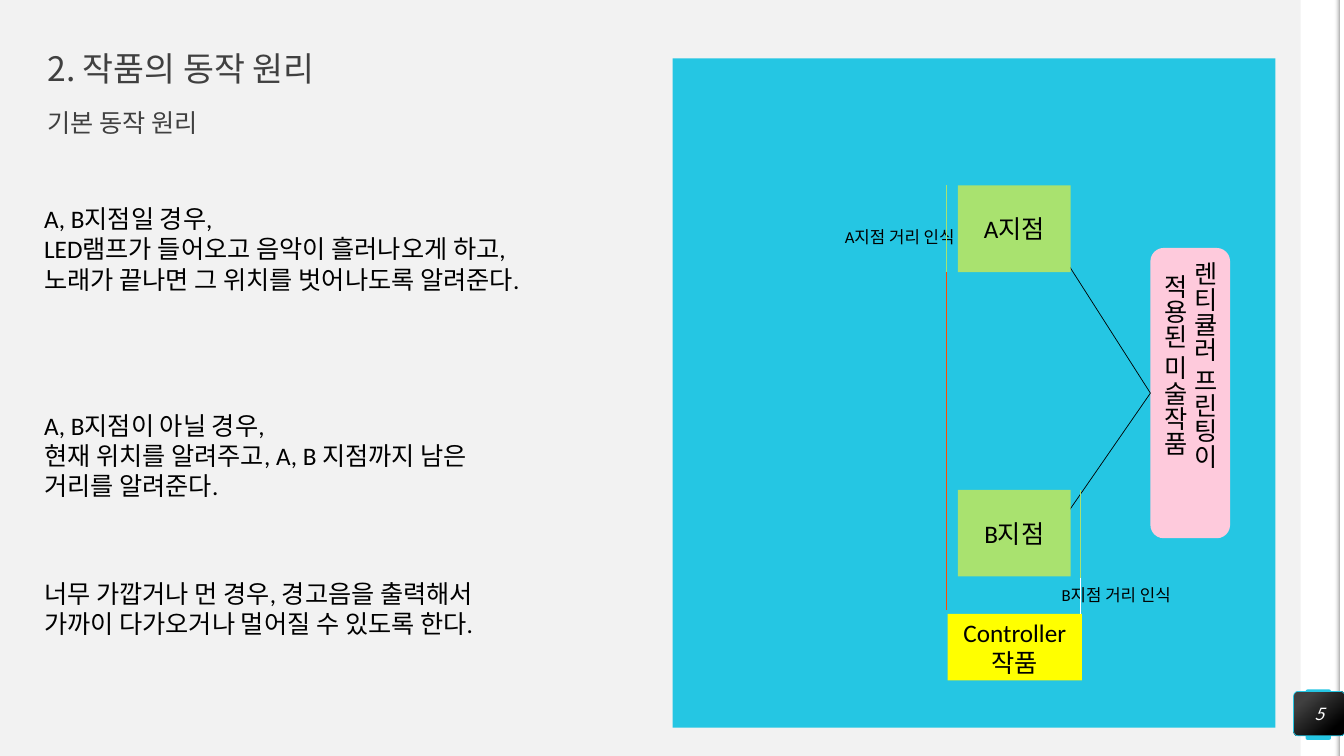
from lxml import etree
from pptx import Presentation
from pptx import util as u
from pptx.dml.color import RGBColor
from pptx.enum import shapes, text
from pptx.oxml.ns import qn

COLORS = {
    "background": "F2F2F2", "white": "FFFFFF", "cyan": "25C6E3",
    "heading": "404040", "black": "000000", "edge": "A6A6A6",
    "pink": "FECADC", "yellow": "FFFF00", "green": "A9E26F", "orange": "FF4A01",
}
KOREAN = "Noto Sans CJK KR"
LATIN = "Calibri"
RECTANGLE = shapes.MSO_SHAPE.RECTANGLE
ROUNDED = shapes.MSO_SHAPE.ROUNDED_RECTANGLE


def rgb(name):
    return RGBColor.from_string(COLORS[name])


def write(shape, content, size=18, color="black", latin=LATIN, asian=None, align=None,
          anchor=text.MSO_ANCHOR.TOP, italic=None, inset=None, spacing=None, before=None):
    frame = shape.text_frame
    frame.word_wrap = True
    frame.vertical_anchor = anchor
    if inset is not None:
        frame.margin_left = frame.margin_right = u.Inches(inset)
        frame.margin_top = frame.margin_bottom = u.Inches(inset)
    frame.text = content
    for paragraph in frame.paragraphs:
        paragraph.alignment = align
        paragraph.line_spacing = spacing
        paragraph.space_before = before
        for run in paragraph.runs:
            run.font.size = u.Pt(size)
            run.font.name = latin
            run.font.italic = italic
            run.font.color.rgb = rgb(color)
            if asian:
                etree.SubElement(run.font._element, qn("a:ea")).set("typeface", asian)


def add_text(slide, box, content, **style):
    shape = slide.shapes.add_textbox(*map(u.Inches, box))
    write(shape, content, **style)
    return shape


def add_block(slide, box, fill=None, kind=RECTANGLE, radius=None, content=None, **style):
    shape = slide.shapes.add_shape(kind, *map(u.Inches, box))
    shape.shadow.inherit = False
    shape.line.fill.background()
    if fill:
        shape.fill.solid()
        shape.fill.fore_color.rgb = rgb(fill)
    if radius is not None:
        shape.adjustments[0] = radius
    if content:
        write(shape, content, align=text.PP_ALIGN.CENTER,
              anchor=text.MSO_ANCHOR.MIDDLE, **style)
    return shape


def add_gradient(shape, stops, angle):
    shape.fill.gradient()
    shape.fill.gradient_angle = angle
    for stop, (position, color) in zip(shape.fill.gradient_stops, stops):
        stop.position = position
        stop.color.rgb = rgb(color)


def add_line(slide, start, end, color):
    line = slide.shapes.add_connector(
        shapes.MSO_CONNECTOR.STRAIGHT, *map(u.Inches, (*start, *end)))
    line.line.color.rgb = rgb(color)
    line.line.width = u.Pt(0.5)
    etree.SubElement(line._element.spPr, qn("a:effectLst"))
    return line


def draw_side_band(slide, left, top, width, height):
    add_block(slide, (left, top, width, height), "white")
    add_block(slide, (left + 0.05, top + 6.84, 0.25, 0.5), "cyan", ROUNDED, 0.07)
    strip = 0.05
    strip_top = top + (height - strip) / 2
    edge_left = left + 0.36 - height / 2
    for offset in (strip, 0):
        shape = add_block(slide, (edge_left + offset, strip_top, height, strip), "white")
        shape.rotation = 90
    add_gradient(shape, ((0, "background"), (1, "edge")), 90)
    first_color = shape._element.spPr.find(".//" + qn("a:srgbClr"))
    etree.SubElement(first_color, qn("a:alpha")).set("val", "0")


def draw_page_number(slide, box, number):
    badge = add_block(slide, box, kind=ROUNDED, radius=0.1, content=number, size=12,
                      color="white", latin=KOREAN, asian=KOREAN, italic=True, inset=0)
    add_gradient(badge, ((0.2, "heading"), (0.82, "black")), 310)
    badge.line.color.rgb = rgb("cyan")
    badge.line.width = u.Pt(0.5)


def draw_heading(slide, left, top, width, title, subtitle):
    style = dict(color="heading", latin=KOREAN, asian=KOREAN, inset=0, spacing=0.9)
    add_text(slide, (left, top, width, 0.47), title, size=24,
             anchor=text.MSO_ANCHOR.MIDDLE, **style)
    add_text(slide, (left, top + 0.63, width, 0.39), subtitle, before=u.Pt(10), **style)


def draw_explanations(slide, left, top, width):
    explanations = (
        (0, 1.31, "A, B지점일 경우,\nLED램프가 들어오고 음악이 흘러나오게 하고, "
                  "노래가 끝나면 그 위치를 벗어나도록 알려준다."),
        (2.05, 1.01, "A, B지점이 아닐 경우,\n현재 위치를 알려주고, A, B 지점까지 남은 "
                     "거리를 알려준다."),
        (3.72, 0.71, "너무 가깝거나 먼 경우, 경고음을 출력해서 "
                     "가까이 다가오거나 멀어질 수 있도록 한다."),
    )
    for offset, height, content in explanations:
        add_text(slide, (left, top + offset, width, height), content, asian=KOREAN)


def draw_diagram(slide, left, top, width, height):
    def at(x, y):
        return left + x, top + y

    add_block(slide, (left, top, width, height), "cyan")
    artwork = add_block(slide, (*at(4.74, 1.88), 0.79, 2.88), "pink", ROUNDED,
                        content="렌티큘러 프린팅이 적용된 미술작품")
    artwork.text_frame._txBody.bodyPr.set("vert", "eaVert")
    add_block(slide, (*at(2.73, 5.51), 1.33, 0.66), "yellow", content="Controller\n작품")

    for point in (at(3.82, 1.88), at(3.82, 4.65)):
        sight = add_line(slide, point, at(4.74, 3.32), "black")
        sight.end_connect(artwork, 1)

    spots = (("A", 1.26, (1.61, 1.62)), ("B", 4.28, (3.76, 5.17)))
    for name, y, label in spots:
        add_block(slide, (*at(2.83, y), 1.12, 0.86), "green", content=f"{name}지점")
        add_text(slide, (*at(*label), 1.38, 0.3), f"{name}지점 거리 인식", size=12)

    ranges = ((2.72, 2.12, 5.47, "orange"), (2.72, 1.26, 2.12, "green"),
              (4.05, 4.28, 5.15, "green"), (4.05, 5.15, 5.51, "white"))
    for x, start, end, color in ranges:
        add_line(slide, at(x, start), at(x, end), color)


def main():
    presentation = Presentation()
    presentation.slide_width = u.Inches(13.33)
    presentation.slide_height = u.Inches(7.5)
    slide = presentation.slides.add_slide(presentation.slide_layouts[6])
    slide.background.fill.solid()
    slide.background.fill.fore_color.rgb = rgb("background")
    draw_side_band(slide, 12.9, 0, 0.39, 7.5)
    draw_heading(slide, 0.47, 0.47, 5.98, "2. 작품의 동작 원리", "기본 동작 원리")
    draw_page_number(slide, (12.83, 6.86, 0.51, 0.44), "5")
    draw_diagram(slide, 6.67, 0.58, 5.98, 6.64)
    draw_explanations(slide, 0.34, 1.97, 5.07)
    presentation.save("out.pptx")


if __name__ == "__main__":
    main()
